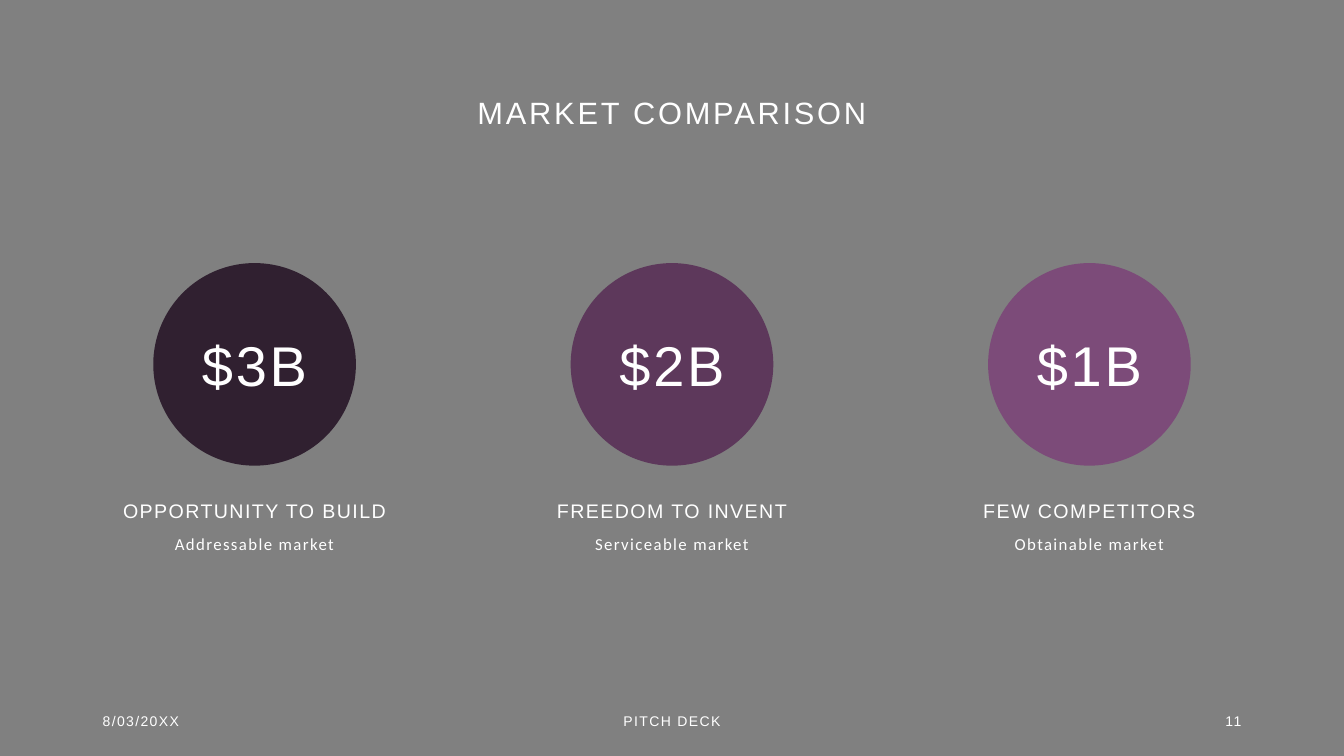
from pptx import Presentation, util as u
from pptx.dml.color import RGBColor
from pptx.enum import shapes, text

GREY = RGBColor(0x80, 0x80, 0x80)
WHITE = RGBColor(0xFF, 0xFF, 0xFF)
DARK_PLUM = RGBColor(0x30, 0x20, 0x30)
PLUM = RGBColor(0x5D, 0x38, 0x5B)
LIGHT_PLUM = RGBColor(0x7C, 0x4B, 0x79)

WIDTH, HEIGHT = 13.33, 7.5
MARGIN = 0.92
COLUMN_STEP, COLUMN_WIDTH = 4.14, 3.21
CIRCLE = 2.01
CIRCLE_ROW, HEADING_ROW, CAPTION_ROW, FOOTER_ROW = 2.61, 4.84, 5.2, 6.95
CAPTION_HEIGHT, FOOTER_HEIGHT = 0.51, 0.4
SIDE_FOOTER, MIDDLE_FOOTER = 3, 4.5

LEFT, CENTER, RIGHT = text.PP_ALIGN.LEFT, text.PP_ALIGN.CENTER, text.PP_ALIGN.RIGHT
TOP, MIDDLE = text.MSO_ANCHOR.TOP, text.MSO_ANCHOR.MIDDLE

MARKETS = [
    ("$3B", "OPPORTUNITY TO BUILD", "Addressable market", DARK_PLUM),
    ("$2B", "FREEDOM TO INVENT", "Serviceable market", PLUM),
    ("$1B", "FEW COMPETITORS", "Obtainable market", LIGHT_PLUM),
]


def write(sp, words, size=10, font="Arial", align=CENTER, anchor=MIDDLE,
          line_spacing=1.0, spacing=1):
    tf = sp.text_frame
    tf.word_wrap = True
    tf.vertical_anchor = anchor
    p = tf.paragraphs[0]
    p.alignment = align
    p.line_spacing = line_spacing
    r = p.add_run()
    r.text = words
    r.font.size = u.Pt(size)
    r.font.name = font
    r.font.color.rgb = WHITE
    r.font._element.set("spc", str(spacing * 100))


def add_text(s, words, left, top, width, height, **style):
    sp = s.shapes.add_textbox(*map(u.Inches, (left, top, width, height)))
    write(sp, words, **style)


def add_circle(s, words, center, color):
    box = (center - CIRCLE / 2, CIRCLE_ROW, CIRCLE, CIRCLE)
    sp = s.shapes.add_shape(shapes.MSO_SHAPE.OVAL, *map(u.Inches, box))
    sp.shadow.inherit = False
    sp.fill.solid()
    sp.fill.fore_color.rgb = color
    sp.line.fill.background()
    write(sp, words, size=40, spacing=2)


def add_market(s, column, amount, heading, caption, color):
    left = MARGIN + column * COLUMN_STEP
    add_circle(s, amount, left + COLUMN_WIDTH / 2, color)
    for words, top, size, font in ((heading, HEADING_ROW, 14, "Arial"),
                                   (caption, CAPTION_ROW, 12, "Calibri")):
        add_text(s, words, left, top, COLUMN_WIDTH, CAPTION_HEIGHT, size=size,
                 font=font, anchor=TOP, line_spacing=1.25)


def add_footer(s):
    for words, left, width, align in (
            ("8/03/20XX", MARGIN, SIDE_FOOTER, LEFT),
            ("PITCH DECK", (WIDTH - MIDDLE_FOOTER) / 2, MIDDLE_FOOTER, CENTER),
            ("11", WIDTH - MARGIN - SIDE_FOOTER, SIDE_FOOTER, RIGHT)):
        add_text(s, words, left, FOOTER_ROW, width, FOOTER_HEIGHT, align=align)


def main():
    prs = Presentation()
    prs.slide_width, prs.slide_height = u.Inches(WIDTH), u.Inches(HEIGHT)
    s = prs.slides.add_slide(prs.slide_layouts[6])
    s.background.fill.solid()
    s.background.fill.fore_color.rgb = GREY
    add_text(s, "MARKET COMPARISON", 3.27, 0.79, 6.79, 0.7,
             size=22, line_spacing=0.9, spacing=2)
    for column, market in enumerate(MARKETS):
        add_market(s, column, *market)
    add_footer(s)
    prs.save("out.pptx")


if __name__ == "__main__":
    main()
